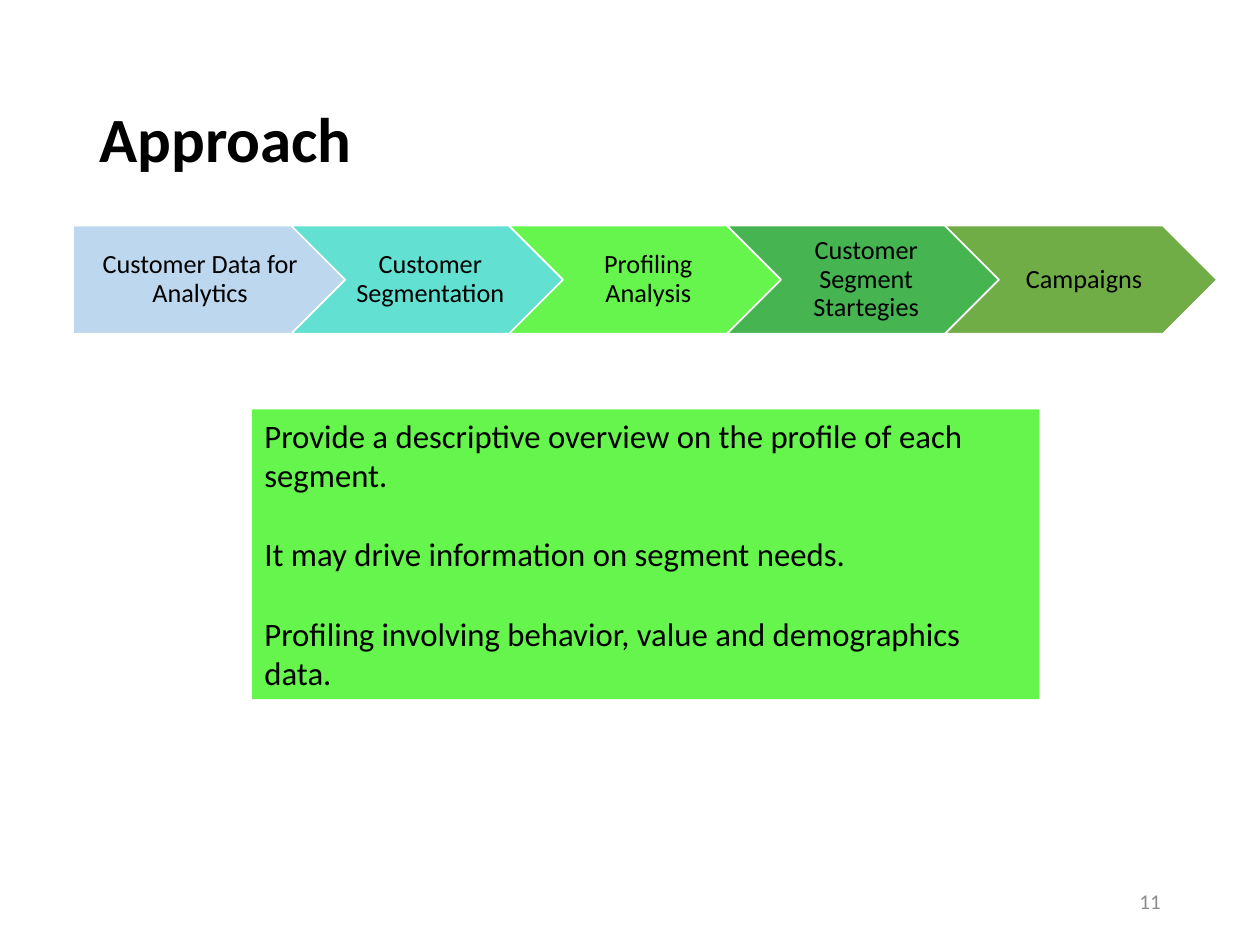
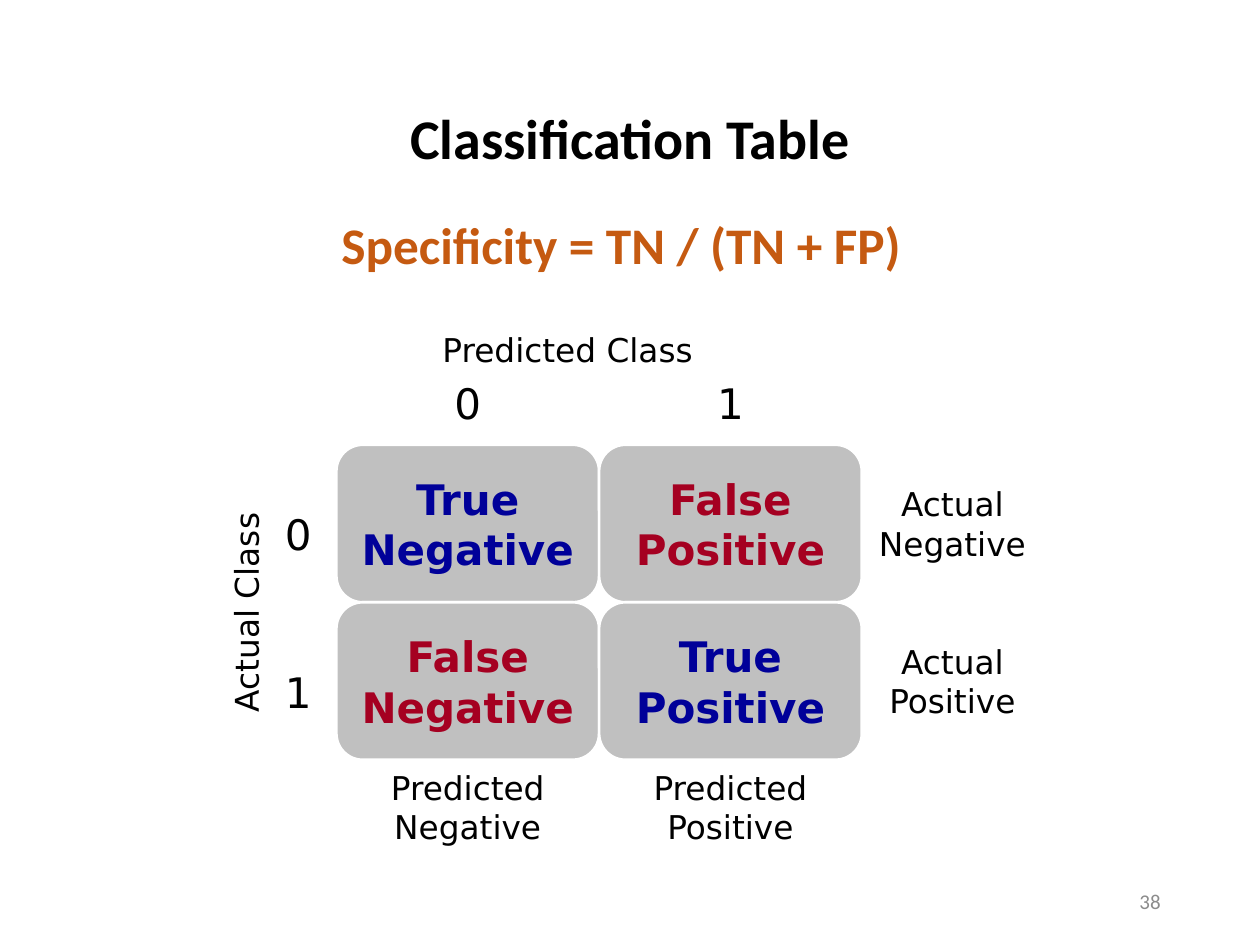
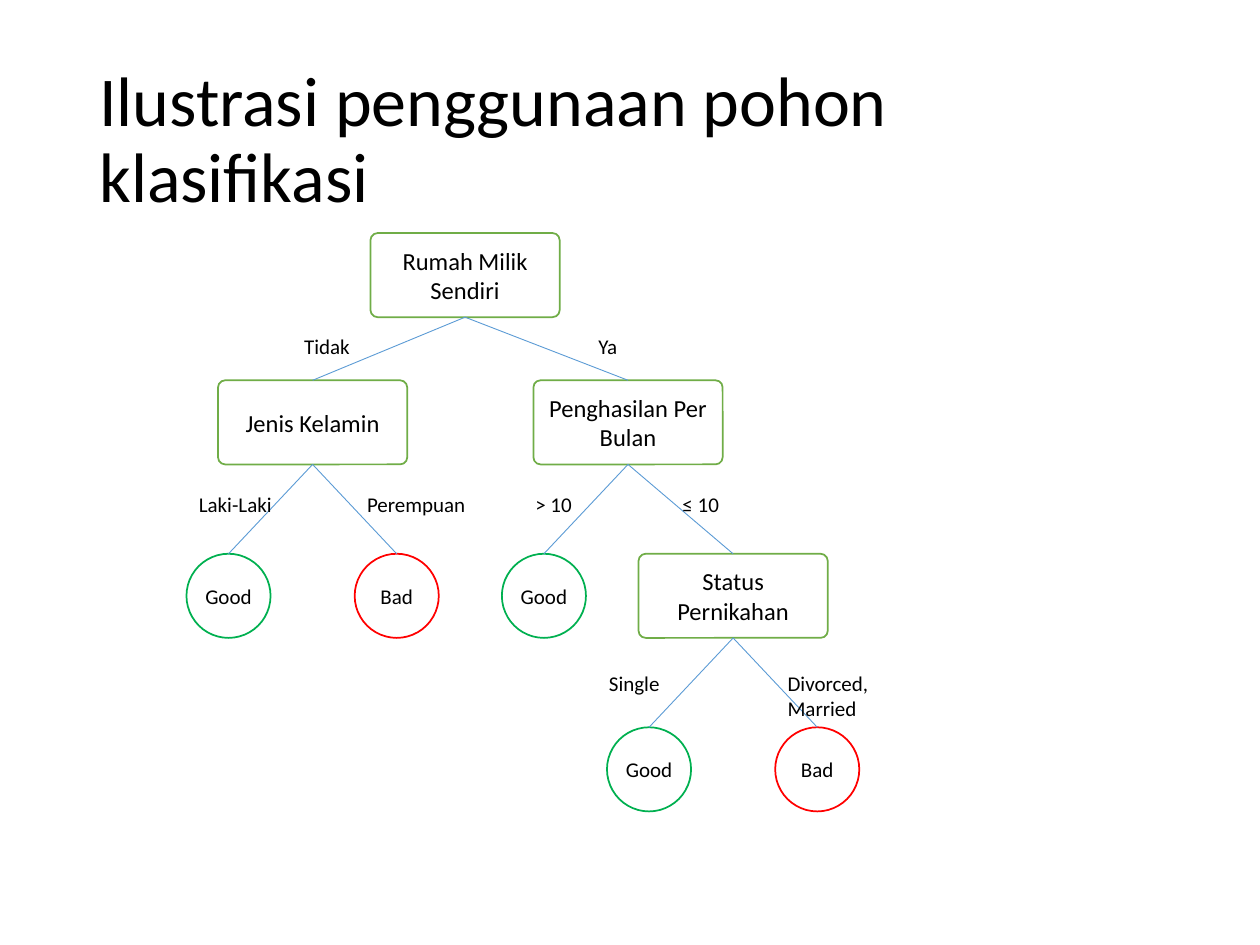
from dataclasses import dataclass

from pptx import Presentation
from pptx.dml.color import RGBColor
from pptx.enum.shapes import MSO_CONNECTOR, MSO_SHAPE
from pptx.enum.text import MSO_ANCHOR, PP_ALIGN
from pptx.oxml.ns import qn
from pptx.util import Inches, Pt

BLACK = RGBColor(0x00, 0x00, 0x00)
WHITE = RGBColor(0xFF, 0xFF, 0xFF)
PAGE_GRAY = RGBColor(0x8C, 0x8C, 0x8C)
PALE_BLUE = RGBColor(0xBD, 0xD7, 0xEE)
TURQUOISE = RGBColor(0x62, 0xE0, 0xD1)
LIME = RGBColor(0x65, 0xF5, 0x4D)
EMERALD = RGBColor(0x45, 0xB4, 0x51)
OLIVE_GREEN = RGBColor(0x70, 0xAD, 0x47)
FORMULA_ORANGE = RGBColor(0xC5, 0x5A, 0x11)
CELL_GRAY = RGBColor(0xC0, 0xC0, 0xC0)
CORRECT_BLUE = RGBColor(0x00, 0x00, 0x99)
WRONG_RED = RGBColor(0xA5, 0x00, 0x21)
GOOD_GREEN = RGBColor(0x00, 0xB0, 0x50)
BAD_RED = RGBColor(0xFF, 0x00, 0x00)
BRANCH_BLUE = RGBColor(0x5B, 0x9B, 0xD5)

BODY_FONT = "Calibri"
MATRIX_FONT = "DejaVu Sans"
DEFAULT_INSETS = (0.1, 0.05, 0.1, 0.05)


@dataclass
class Box:
    """An area in inches, divided into a grid of columns and rows."""
    left: float
    top: float
    width: float
    height: float
    cols: float = 1
    rows: float = 1

    def cell(self, col, row, across, down, cols=1, rows=1):
        col_width, row_height = self.width / self.cols, self.height / self.rows
        return Box(self.left + col * col_width, self.top + row * row_height,
                   across * col_width, down * row_height, cols, rows)

    def emu(self):
        return [Inches(n) for n in (self.left, self.top, self.width, self.height)]


SLIDE = Box(0, 0, 10, 7.5, cols=100, rows=75)


@dataclass
class Outcome:
    text: str
    center: float
    color: RGBColor


@dataclass
class Question:
    """A tree node; each branch is (answer, answer column, answer width, child)."""
    text: str
    center: float
    branches: list


def write(shape, text, size, color=BLACK, bold=False, font=BODY_FONT,
          align=PP_ALIGN.CENTER, anchor=MSO_ANCHOR.MIDDLE, line_spacing=1.0,
          gap=0, insets=DEFAULT_INSETS):
    frame = shape.text_frame
    frame.text = text
    frame.word_wrap = True
    frame.vertical_anchor = anchor
    (frame.margin_left, frame.margin_top,
     frame.margin_right, frame.margin_bottom) = [Inches(n) for n in insets]
    for index, paragraph in enumerate(frame.paragraphs):
        paragraph.alignment = align
        paragraph.line_spacing = line_spacing
        if index and gap:
            paragraph.space_before = Pt(gap)
        for run in paragraph.runs:
            run.font.name = font
            run.font.size = Pt(size)
            run.font.bold = bold
            run.font.color.rgb = color


def add_label(slide, box, text, size, **style):
    label = slide.shapes.add_textbox(*box.emu())
    write(label, text, size, **style)
    return label


def add_filled(slide, kind, box, fill, line=None, line_width=1):
    shape = slide.shapes.add_shape(kind, *box.emu())
    shape.shadow.inherit = False
    shape.fill.solid()
    shape.fill.fore_color.rgb = fill
    if line is None:
        shape.line.fill.background()
    else:
        shape.line.color.rgb = line
        shape.line.width = Pt(line_width)
    return shape


def add_title(slide, text, size, bold=True, align=PP_ALIGN.LEFT):
    add_label(slide, SLIDE.cell(6.9, 4, 86.2, 14.5), text, size,
              bold=bold, align=align, line_spacing=0.9)


def add_page_number(slide, number):
    add_label(slide, SLIDE.cell(70.6, 69.5, 22.5, 4), str(number), 12,
              color=PAGE_GRAY, align=PP_ALIGN.RIGHT)


def add_process(slide, box, steps):
    """Arrows five columns wide, each starting four columns after the last."""
    for index, (text, fill) in enumerate(steps):
        kind = MSO_SHAPE.CHEVRON if index else MSO_SHAPE.PENTAGON
        arrow = add_filled(slide, kind, box.cell(4 * index, 0, 5, 1), fill, WHITE)
        write(arrow, text, 15, line_spacing=0.9,
              insets=(0.07 if index else 0.09, 0.04, 0.02, 0.04))


def add_confusion_matrix(slide, box):
    """Two by two outcomes in the box, with their headings around it."""
    outcomes = [[("True\nNegative", CORRECT_BLUE), ("False\nPositive", WRONG_RED)],
                [("False\nNegative", WRONG_RED), ("True\nPositive", CORRECT_BLUE)]]
    for row, row_outcomes in enumerate(outcomes):
        for col, (text, color) in enumerate(row_outcomes):
            cell = add_filled(slide, MSO_SHAPE.ROUNDED_RECTANGLE,
                              box.cell(col, row, 1, 1), CELL_GRAY, WHITE, 1.5)
            cell.adjustments[0] = 0.167
            write(cell, text, 24, color=color, bold=True, font=MATRIX_FONT)

    for index, side in enumerate(("Negative", "Positive")):
        headings = [
            (box.cell(2, index, 0.69, 1), f"Actual\n{side}", 18.7),
            (box.cell(index, 2, 1, 0.6), f"Predicted\n{side}", 18.7),
            (box.cell(-0.245, index + 0.36, 0.2, 0.41), str(index), 24),
            (box.cell(index + 0.4, -0.47, 0.2, 0.41), str(index), 24),
        ]
        for place, text, size in headings:
            add_label(slide, place, text, size, font=MATRIX_FONT)

    add_label(slide, box.cell(0.28, -0.77, 1.2, 0.33), "Predicted Class", 18.7,
              font=MATRIX_FONT)
    actual = add_label(slide, box.cell(-0.78, 0.9, 0.87, 0.33), "Actual Class", 18.7,
                       font=MATRIX_FONT)
    actual.rotation = 270


def add_branch(slide, parent, child):
    branch = slide.shapes.add_connector(MSO_CONNECTOR.STRAIGHT, 0, 0, 0, 0)
    branch.begin_connect(parent, 2)
    branch.end_connect(child, 0)
    branch.line.color.rgb = BRANCH_BLUE
    branch.line.width = Pt(0.5)
    properties = branch._element.spPr
    properties.append(properties.makeelement(qn("a:effectLst"), {}))


def add_tree(slide, box, node, level=0):
    """Draws a node with all that hangs from it and returns the node's shape."""
    node_row = (0, 7, 15.25, 23.5)[level]
    if isinstance(node, Outcome):
        leaf = add_filled(slide, MSO_SHAPE.OVAL,
                          box.cell(node.center - 2, node_row, 4, 4), WHITE, node.color)
        write(leaf, node.text, 12, insets=(0, 0.05, 0, 0.05))
        return leaf

    question = add_filled(slide, MSO_SHAPE.ROUNDED_RECTANGLE,
                          box.cell(node.center - 4.5, node_row, 9, 4),
                          WHITE, OLIVE_GREEN)
    question.adjustments[0] = 0.085
    write(question, node.text, 14)
    answer_row = (4.5, 12, 20.5)[level]
    for answer, answer_col, answer_width, child in node.branches:
        add_branch(slide, question, add_tree(slide, box, child, level + 1))
        add_label(slide, box.cell(answer_col, answer_row, answer_width, 1.8), answer, 12,
                  align=PP_ALIGN.LEFT, anchor=MSO_ANCHOR.TOP)
    return question


def build_approach(slide):
    add_title(slide, "Approach", 36)
    add_page_number(slide, 11)
    add_process(slide, SLIDE.cell(5.8, 17.9, 90.8, 8.6, cols=21), [
        ("Customer Data for Analytics", PALE_BLUE),
        ("Customer Segmentation", TURQUOISE),
        ("Profiling Analysis", LIME),
        ("Customer Segment Startegies", EMERALD),
        ("Campaigns", OLIVE_GREEN),
    ])
    profiling = add_filled(slide, MSO_SHAPE.RECTANGLE,
                           SLIDE.cell(20, 32.5, 62.5, 23), LIME)
    write(profiling,
          "Provide a descriptive overview on the profile of each segment.\n"
          "It may drive information on segment needs.\n"
          "Profiling involving behavior, value and demographics data.",
          18.7, align=PP_ALIGN.LEFT, anchor=MSO_ANCHOR.TOP, gap=22.8)


def build_classification(slide):
    add_title(slide, "Classification Table", 32, align=PP_ALIGN.CENTER)
    add_page_number(slide, 38)
    add_confusion_matrix(slide, SLIDE.cell(26.7, 35.3, 41.7, 25, cols=2, rows=2))
    add_label(slide, SLIDE.cell(4.5, 16.4, 89.6, 5.9), "Specificity = TN / (TN + FP)",
              29.3, color=FORMULA_ORANGE, bold=True, anchor=MSO_ANCHOR.TOP)


def build_decision_tree(slide):
    def good(center):
        return Outcome("Good", center, GOOD_GREEN)

    def bad(center):
        return Outcome("Bad", center, BAD_RED)

    marital_status = Question("Status Pernikahan", 26, [
        ("Single", 19.5, 5, good(22)),
        ("Divorced, Married", 28, 6, bad(30)),
    ])
    income = Question("Penghasilan Per Bulan", 21, [
        ("> 10", 16, 5, good(17)),
        ("≤ 10", 23, 5, marital_status),
    ])
    gender = Question("Jenis Kelamin", 6, [
        ("Laki-Laki", 0, 5, good(2)),
        ("Perempuan", 8, 6, bad(10)),
    ])
    home_owner = Question("Rumah Milik Sendiri", 13.25, [
        ("Tidak", 5, 5, gender),
        ("Ya", 19, 5, income),
    ])
    add_tree(slide, SLIDE.cell(14.8, 18.5, 53.4, 45.9, cols=32, rows=27.5), home_owner)
    add_title(slide, "Ilustrasi penggunaan pohon klasifikasi", 40, bold=False)


def main():
    deck = Presentation()
    deck.slide_width, deck.slide_height = Inches(SLIDE.width), Inches(SLIDE.height)
    blank = deck.slide_layouts[6]
    for build in (build_approach, build_classification, build_decision_tree):
        build(deck.slides.add_slide(blank))
    deck.save("out.pptx")


if __name__ == "__main__":
    main()
